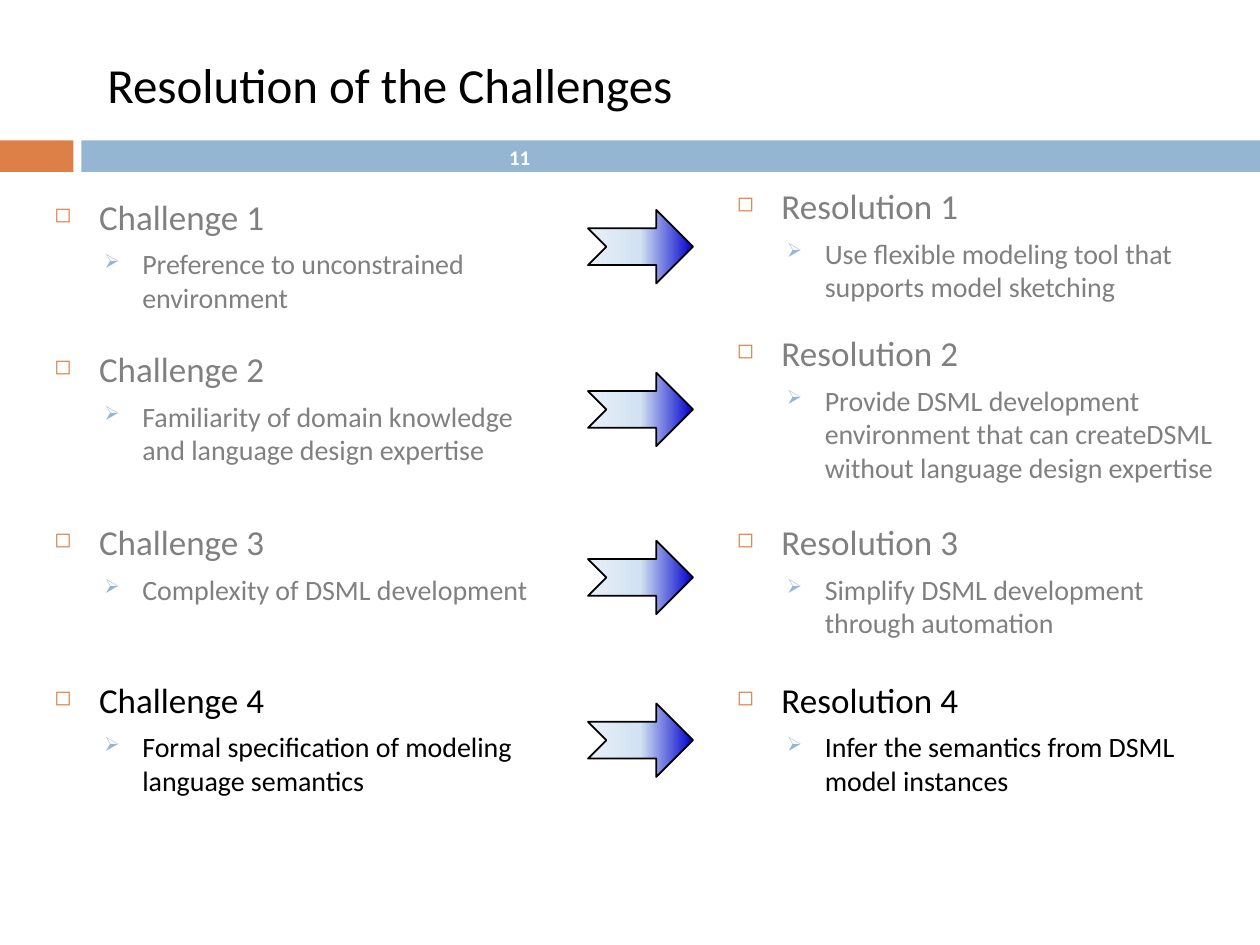
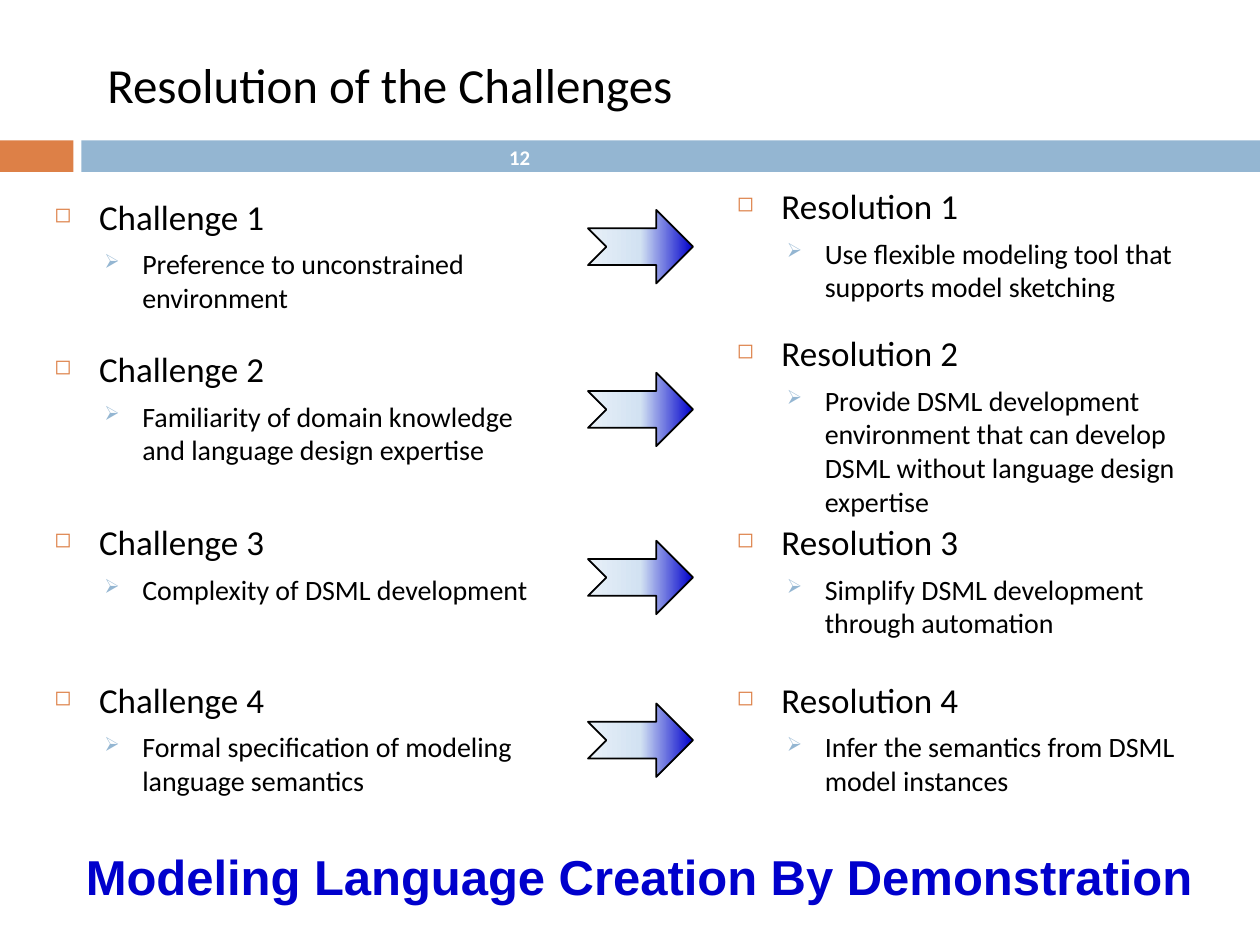
from pptx import Presentation
from pptx.dml.color import RGBColor
from pptx.enum.shapes import MSO_SHAPE
from pptx.enum.text import MSO_ANCHOR, PP_ALIGN
from pptx.oxml.ns import qn
from pptx.util import Pt
from lxml import etree

RECT, ARROW = MSO_SHAPE.RECTANGLE, MSO_SHAPE.NOTCHED_RIGHT_ARROW
TOP, MIDDLE = MSO_ANCHOR.TOP, MSO_ANCHOR.MIDDLE
LEFT, CENTER = PP_ALIGN.LEFT, PP_ALIGN.CENTER

PX = 9525
WIDE, HIGH = 960, 720
BLACK = RGBColor(0x00, 0x00, 0x00)
WHITE = RGBColor(0xFF, 0xFF, 0xFF)
GREY = RGBColor(0x80, 0x80, 0x80)
ORANGE = RGBColor(0xDD, 0x80, 0x47)
SKY = RGBColor(0x94, 0xB6, 0xD2)
BLUE = RGBColor(0x00, 0x00, 0xCC)
PALE = RGBColor(0xD2, 0xE2, 0xF2)
MIST = RGBColor(0xE8, 0xF0, 0xF8)
STOPS = ((0, BLUE), (50, PALE), (100, MIST))

BODY, LOUD = "Calibri", "Arial"
HEAD = dict(size=20, gap=7, level=0, left=34, hang=34, mark="◻", tint=ORANGE, scale=60)
ITEM = dict(size=16, gap=5.5, level=1, left=67, hang=29, mark="➢", tint=SKY, scale=70)

LEFT_X, ARROW_X, RIGHT_X = 32, 448, 552
COL_W = 392
ROWS = (
    (144, 136, 160, 104, 104),
    (260, 248, 284, 104, 128),
    (392, 392, 412, 96, 96),
    (512, 512, 536, 104, 104),
)
ISSUES = (
    "Preference to unconstrained environment",
    "Familiarity of domain knowledge and language design expertise",
    "Complexity of DSML development",
    "Formal specification of modeling language semantics",
)
ANSWERS = (
    "Use flexible modeling tool that supports model sketching",
    "Provide DSML development environment that can {} without language design expertise",
    "Simplify DSML development through automation",
    "Infer the semantics from DSML model instances",
)


class Deck:
    """Holds the shared style and the current slide."""

    def __init__(self):
        self.show = Presentation()
        self.show.slide_width, self.show.slide_height = WIDE * PX, HIGH * PX
        self.slide = None

    def page(self, title, number):
        self.slide = self.show.slides.add_slide(self.show.slide_layouts[6])
        self.band(0, 56, ORANGE)
        self.band(62, WIDE - 62, SKY)
        self.label((64, 24, 856, 80), title, 28, BLACK, anchor=MIDDLE)
        self.label((368, 107, 56, 26), str(number), 11.9, WHITE,
                   bold=True, anchor=MIDDLE, align=CENTER)

    def shape(self, kind, box):
        shape = self.slide.shapes.add_shape(kind, *(n * PX for n in box))
        shape.shadow.inherit = False
        return shape

    def band(self, left, width, color):
        band = self.shape(RECT, (left, 107, width, 24))
        band.fill.solid()
        band.fill.fore_color.rgb = color
        band.line.fill.background()

    def arrow(self, top):
        arrow = self.shape(ARROW, (ARROW_X, top, 80, 56))
        arrow.line.color.rgb = BLACK
        arrow.line.width = Pt(1)
        arrow.fill.gradient()
        arrow.fill.gradient_angle = 180
        stops = arrow.element.spPr.find(qn("a:gradFill")).find(qn("a:gsLst"))
        for stop in list(stops):
            stops.remove(stop)
        for place, color in STOPS:
            stop = etree.SubElement(stops, qn("a:gs"), pos=str(place * 1000))
            etree.SubElement(stop, qn("a:srgbClr"), val=str(color))

    def frame(self, box, wrap=True, anchor=TOP):
        frame = self.slide.shapes.add_textbox(*(n * PX for n in box)).text_frame
        frame.word_wrap = wrap
        frame.vertical_anchor = anchor
        return frame

    def run(self, para, text, size, color, font=BODY, bold=False):
        run = para.add_run()
        run.text = text
        run.font.name, run.font.size, run.font.bold = font, Pt(size), bold
        run.font.color.rgb = color

    def label(self, box, text, size, color, font=BODY, bold=False,
              wrap=True, anchor=TOP, align=LEFT):
        para = self.frame(box, wrap, anchor).paragraphs[0]
        para.alignment = align
        self.run(para, text, size, color, font, bold)

    def bullet(self, para, text, color, look):
        para.level = look["level"]
        para.space_before = Pt(look["gap"])
        props = para._p.get_or_add_pPr()
        props.set("marL", str(look["left"] * PX))
        props.set("indent", str(-look["hang"] * PX))
        tint = etree.SubElement(props, qn("a:buClr"))
        etree.SubElement(tint, qn("a:srgbClr"), val=str(look["tint"]))
        etree.SubElement(props, qn("a:buSzPct"), val=str(look["scale"] * 1000))
        etree.SubElement(props, qn("a:buChar"), char=look["mark"])
        self.run(para, text, look["size"], color)

    def point(self, box, head, item, color):
        frame = self.frame(box)
        self.bullet(frame.paragraphs[0], head, color, HEAD)
        self.bullet(frame.add_paragraph(), item, color, ITEM)

    def pairs(self, colors, verb):
        rows = zip(ROWS, ISSUES, ANSWERS, colors)
        for count, (row, issue, answer, color) in enumerate(rows, 1):
            left_y, right_y, arrow_y, left_h, right_h = row
            self.point((LEFT_X, left_y, COL_W, left_h),
                       f"Challenge {count}", issue, color)
            self.point((RIGHT_X, right_y, COL_W, right_h),
                       f"Resolution {count}", answer.format(verb), color)
            self.arrow(arrow_y)


def main():
    deck = Deck()
    title = " Resolution of the Challenges"
    deck.page(title, 11)
    deck.pairs((GREY, GREY, GREY, BLACK), "createDSML")
    deck.page(title, 12)
    deck.pairs((BLACK,) * 4, "develop DSML")
    deck.label((56, 640, 864, 48), "Modeling Language Creation By Demonstration",
               28, BLUE, font=LOUD, bold=True, wrap=False)
    deck.show.save("out.pptx")


if __name__ == "__main__":
    main()
